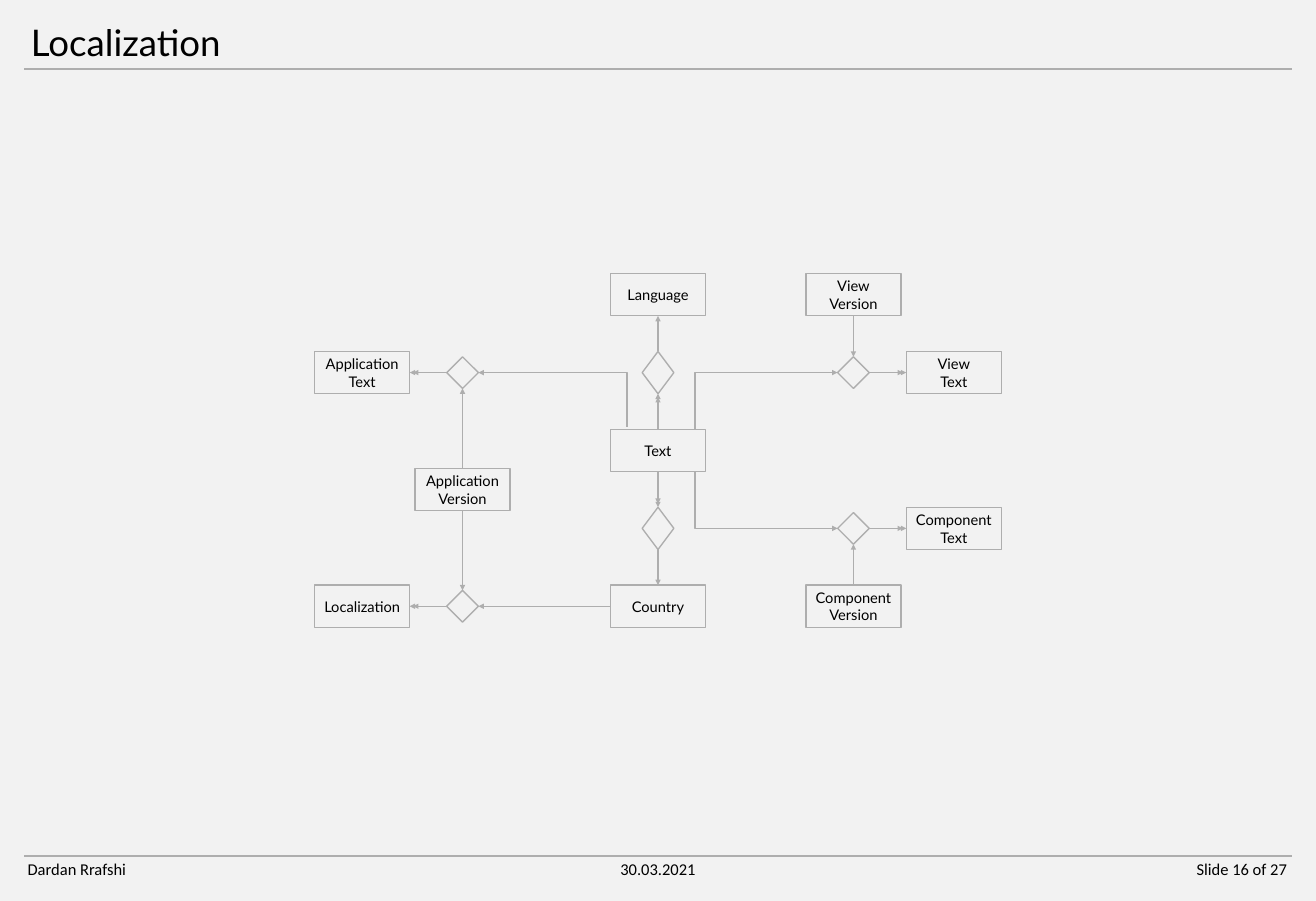
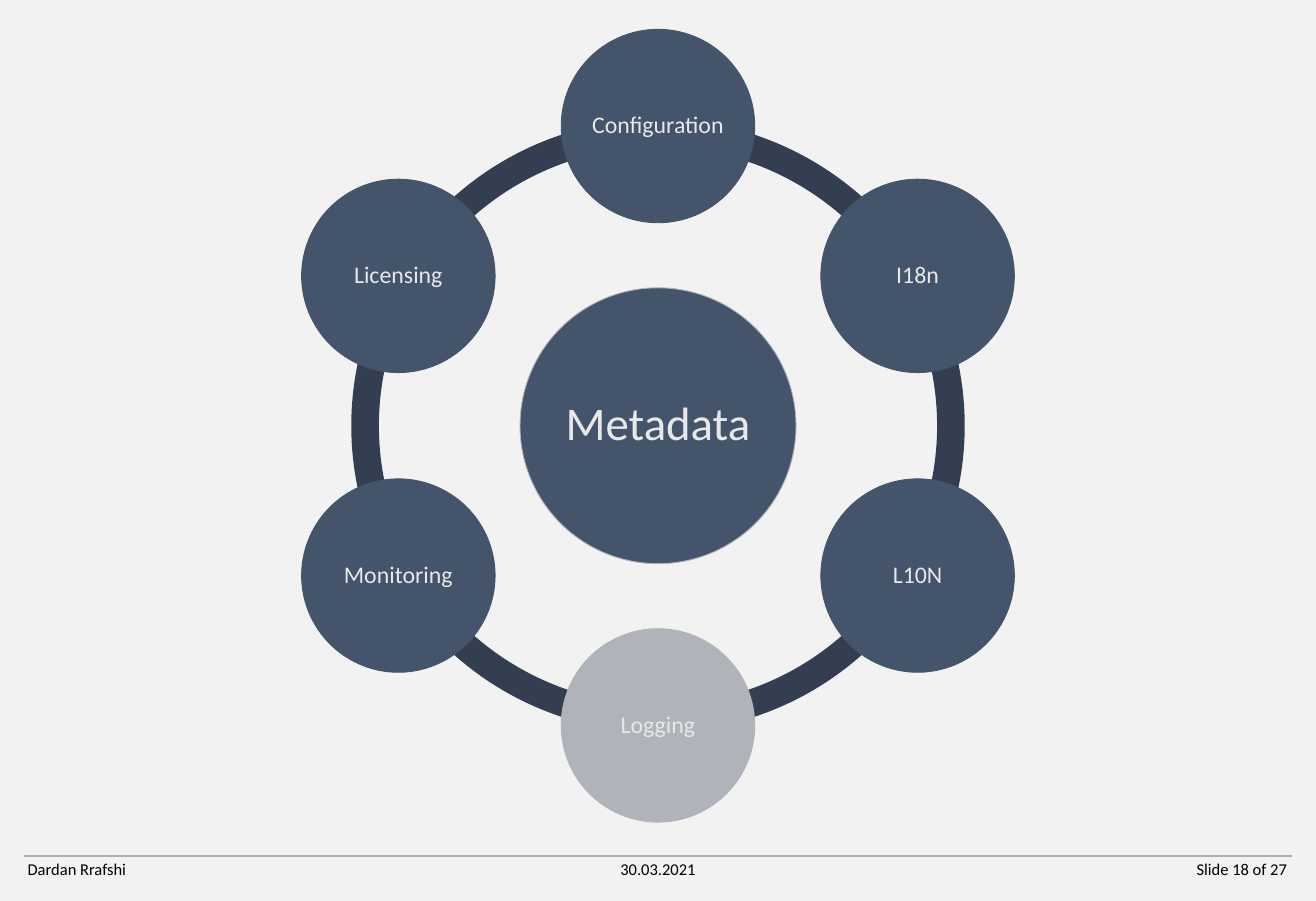
"""Build two slides: a localization entity diagram and a metadata topic ring."""
import math

from lxml import etree
from pptx import Presentation
from pptx import util as u
from pptx.dml.color import RGBColor
from pptx.enum import shapes, text
from pptx.oxml.ns import qn

BACK = RGBColor(0xF2, 0xF2, 0xF2)
BLACK = RGBColor(0, 0, 0)
GREY = RGBColor(0xAE, 0xAE, 0xAE)
SLATE = RGBColor(0x44, 0x54, 0x6A)
NAVY = RGBColor(0x33, 0x3F, 0x50)
MUTED = RGBColor(0xB0, 0xB3, 0xB9)
PALE = RGBColor(0xE8, 0xE8, 0xE8)
LATO, CALIBRI = "Lato", "Calibri"
LEFT, CENTER, RIGHT = text.PP_ALIGN.LEFT, text.PP_ALIGN.CENTER, text.PP_ALIGN.RIGHT
KIND = shapes.MSO_SHAPE
W, H = 19.93, 13.65
MARGIN = 0.37


def write(sp, lines, size, font, color, align, spacing=None):
    """Fill a shape with one paragraph per line."""
    tf = sp.text_frame
    tf.word_wrap = True
    for i, line in enumerate(lines):
        p = tf.add_paragraph() if i else tf.paragraphs[0]
        p.alignment = align
        if spacing:
            p.line_spacing = spacing
        r = p.add_run()
        r.text = line
        r.font.size, r.font.name = u.Pt(size), font
        r.font.color.rgb = color


def connect(s, x1, y1, x2, y2, width=1.5, arrow=True, elbow=False):
    """Draw a rule, an arrow, or an elbow arrow that turns at its start."""
    kind = shapes.MSO_CONNECTOR.ELBOW if elbow else shapes.MSO_CONNECTOR.STRAIGHT
    cx = s.shapes.add_connector(kind, *[u.Inches(v) for v in (x1, y1, x2, y2)])
    cx.line.color.rgb = GREY
    cx.line.width = u.Pt(width)
    props = cx.element.spPr
    if arrow:
        etree.SubElement(props.find(qn("a:ln")), qn("a:tailEnd"), type="triangle")
    if elbow:
        guides = props.find(qn("a:prstGeom")).find(qn("a:avLst"))
        etree.SubElement(guides, qn("a:gd"), name="adj1", fmla="val 0")
    etree.SubElement(props, qn("a:effectLst"))


prs = Presentation()
prs.slide_width, prs.slide_height = u.Inches(W), u.Inches(H)
fill = prs.slide_master.background.fill
fill.solid()
fill.fore_color.rgb = BACK

FOOT_Y, FOOT_W, FOOT_H = 12.97, 1.77, 0.4
slides = []
for number in (16, 18):
    s = prs.slides.add_slide(prs.slide_layouts[6])
    connect(s, MARGIN, FOOT_Y, W - MARGIN, FOOT_Y, 2.25, arrow=False)
    for x, label, align in ((0.32, "Dardan Rrafshi", LEFT),
                            ((W - FOOT_W) / 2, "30.03.2021", CENTER),
                            (17.82, f"Slide {number} of 27", RIGHT)):
        sp = s.shapes.add_textbox(u.Inches(x), u.Inches(FOOT_Y), u.Inches(FOOT_W), u.Inches(FOOT_H))
        write(sp, [label], 18, CALIBRI, BLACK, align)
    slides.append(s)
diagram, ring = slides

s = diagram
sp = s.shapes.add_textbox(u.Inches(MARGIN), u.Inches(0.32), u.Inches(W - 2 * MARGIN), u.Inches(0.72))
write(sp, ["Localization"], 40, LATO, BLACK, LEFT, 0.9)
connect(s, MARGIN, 1.04, W - MARGIN, 1.04, 2.25, arrow=False)

col = [W / 2 + dx for dx in (-4.48, -2.96, 0, 2.96, 4.48)]
row = [H / 2 + 1.18 * k for k in (-2, -1, 0, 1, 2)]
mid = (row[2] + row[3]) / 2
BW, BH, D = 0.72, 0.32, 0.24

nodes = [(KIND.RECTANGLE, x, y, BW, BH, label.split()) for x, y, label in (
    (col[2], row[0], "Language"), (col[2], row[2], "Text"), (col[2], row[4], "Country"),
    (col[0], row[1], "Application Text"), (col[1], mid, "Application Version"),
    (col[0], row[4], "Localization"),
    (col[3], row[0], "View Version"), (col[4], row[1], "View Text"),
    (col[4], row[3], "Component Text"), (col[3], row[4], "Component Version"))]
nodes += [(KIND.DIAMOND, col[c], row[k], D, half, []) for c, k, half in (
    (2, 1, BH), (2, 3, BH), (1, 1, D), (1, 4, D), (3, 1, D), (3, 3, D))]
for kind, x, y, dx, dy, label in nodes:
    sp = s.shapes.add_shape(kind, *[u.Inches(v) for v in (x - dx, y - dy, 2 * dx, 2 * dy)])
    sp.shadow.inherit = False
    sp.fill.background()
    sp.line.color.rgb = GREY
    sp.line.width = u.Pt(1.5)
    sp.text_frame.vertical_anchor = text.MSO_ANCHOR.MIDDLE
    write(sp, label, 16, LATO, BLACK, CENTER)

single = (
    (col[2], row[1] - BH, col[2], row[0] + BH),
    (col[2], row[3] + BH, col[2], row[4] - BH),
    (col[1], mid - BH, col[1], row[1] + D),
    (col[1], mid + BH, col[1], row[4] - D),
    (col[2] - BW, row[4], col[1] + D, row[4]),
    (col[3], row[0] + BH, col[3], row[1] - D),
    (col[3], row[4] - BH, col[3], row[3] + D))
double = (
    (col[2], row[2] - BH, col[2], row[1] + BH),
    (col[2], row[2] + BH, col[2], row[3] - BH),
    (col[1] - D, row[1], col[0] + BW, row[1]),
    (col[1] - D, row[4], col[0] + BW, row[4]),
    (col[3] + D, row[1], col[4] - BW, row[1]),
    (col[3] + D, row[3], col[4] - BW, row[3]))
bent = (
    (col[2] - 0.47, row[2] - BH - 0.04, col[1] + D, row[1]),
    (col[2] + 0.56, row[2] - BH, col[3] - D, row[1]),
    (col[2] + 0.56, row[2] + BH, col[3] - D, row[3]))
for ends in single + double:
    connect(s, *ends)
for x1, y1, x2, y2 in double:
    short = 1 - 0.05 / math.hypot(x2 - x1, y2 - y1)
    connect(s, x1, y1, x1 + (x2 - x1) * short, y1 + (y2 - y1) * short)
for ends in bent:
    connect(s, *ends, elbow=True)

s = ring
CX, CY = W / 2, 6.45
ARC, HUB, TOPIC, ORBIT = 9.29, 4.18, 2.93, 4.54
for start in range(-90, 270, 60):
    sp = s.shapes.add_shape(KIND.BLOCK_ARC, u.Inches(CX - ARC / 2), u.Inches(CY - ARC / 2),
                            u.Inches(ARC), u.Inches(ARC))
    sp.shadow.inherit = False
    sp.fill.solid()
    sp.fill.fore_color.rgb = NAVY
    sp.line.fill.background()
    for i, value in enumerate((start % 360 * 0.6, (start + 60) % 360 * 0.6, 0.045)):
        sp.adjustments[i] = value

topics = ("Configuration", "I18n", "L10N", "Logging", "Monitoring", "Licensing")
circles = [("Metadata", CX, CY, HUB, 51, SLATE, MUTED)]
for i, topic in enumerate(topics):
    angle = math.radians(60 * i - 90)
    color = MUTED if topic == "Logging" else SLATE
    circles.append((topic, CX + ORBIT * math.cos(angle), CY + ORBIT * math.sin(angle),
                    TOPIC, 26, color, color))
for label, x, y, size, points, color, edge in circles:
    sp = s.shapes.add_shape(KIND.OVAL, u.Inches(x - size / 2), u.Inches(y - size / 2),
                            u.Inches(size), u.Inches(size))
    sp.shadow.inherit = False
    sp.fill.solid()
    sp.fill.fore_color.rgb = color
    sp.line.color.rgb = edge
    sp.line.width = u.Pt(1)
    tf = sp.text_frame
    tf.vertical_anchor = text.MSO_ANCHOR.MIDDLE
    tf.margin_left = tf.margin_right = tf.margin_top = tf.margin_bottom = 0
    write(sp, [label], points, CALIBRI, PALE, CENTER, 0.9)

prs.save("out.pptx")
